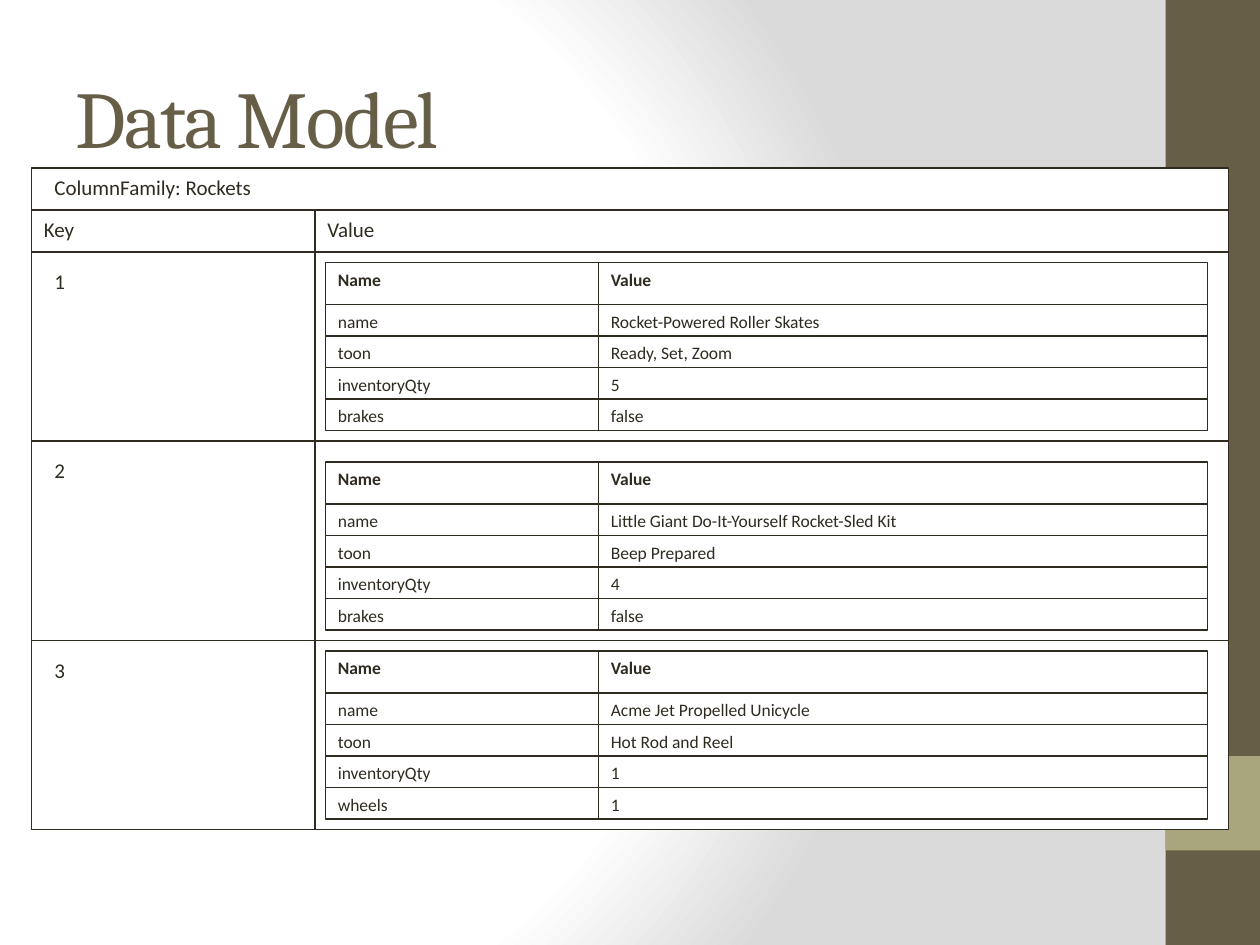
from lxml.etree import SubElement
from pptx import Presentation
from pptx.dml.color import RGBColor
from pptx.enum.shapes import MSO_CONNECTOR, MSO_SHAPE
from pptx.enum.text import MSO_ANCHOR, MSO_AUTO_SIZE, PP_ALIGN
from pptx.oxml import parse_xml
from pptx.oxml.ns import nsdecls, qn
from pptx.util import Pt

HEADING = "Data Model"
FAMILY = "ColumnFamily: Rockets"
COLUMNS = ("Key", "Value")
CARD_HEADER = ("Name", "Value")
ROCKETS = [
    {"key": "1", "top": 240, "card_top": 250, "columns": [
        ("name", "Rocket-Powered Roller Skates"),
        ("toon", "Ready, Set, Zoom"),
        ("inventoryQty", "5"),
        ("brakes", "false")]},
    {"key": "2", "top": 420, "card_top": 440, "columns": [
        ("name", "Little Giant Do-It-Yourself Rocket-Sled Kit"),
        ("toon", "Beep Prepared"),
        ("inventoryQty", "4"),
        ("brakes", "false")]},
    {"key": "3", "top": 610, "card_top": 620, "columns": [
        ("name", "Acme Jet Propelled Unicycle"),
        ("toon", "Hot Rod and Reel"),
        ("inventoryQty", "1"),
        ("wheels", "1")]},
]

INK = RGBColor(0x2F, 0x2B, 0x20)
BROWN = RGBColor(0x67, 0x5E, 0x47)
OLIVE = RGBColor(0xA9, 0xA5, 0x7C)
WHITE = RGBColor(0xFF, 0xFF, 0xFF)

PX = 7620
SLIDE_W, SLIDE_H = 1200, 900
BAND_X, BAND_W = 1110, 90
TABLE_X, TABLE_W = 30, 1140
FAMILY_Y, COLUMNS_Y, ROWS_Y = 160, 200, 240
OUTER_BOTTOM, TABLE_BOTTOM = 780, 790
KEY_W = 270
VALUE_X = TABLE_X + KEY_W
CARD_X, CARD_W, CARD_SPLIT = 310, 840, 570
CARD_HEADER_H, CARD_ROW_H = 40, 30

BACKGROUND = f"""<p:bg {nsdecls('p', 'a')}><p:bgPr><a:gradFill rotWithShape="1"><a:gsLst>
<a:gs pos="0"><a:srgbClr val="FFFFFF"/></a:gs>
<a:gs pos="75000"><a:srgbClr val="FFFFFF"/></a:gs>
<a:gs pos="100000"><a:srgbClr val="DADADA"/></a:gs></a:gsLst>
<a:path path="circle"><a:fillToRect l="20000" t="50000" r="100000" b="50000"/></a:path>
</a:gradFill><a:effectLst/></p:bgPr></p:bg>"""


def px(*lengths):
    return [length * PX for length in lengths]


def add_box(shapes, left, top, width, height, fill=WHITE, outline=INK):
    box = shapes.add_shape(MSO_SHAPE.RECTANGLE, *px(left, top, width, height))
    box.shadow.inherit = False
    box.fill.solid()
    box.fill.fore_color.rgb = fill
    if outline is None:
        box.line.fill.background()
    else:
        box.line.color.rgb = outline
        box.line.width = Pt(0.75)


def add_rule(shapes, x1, y1, x2, y2):
    rule = shapes.add_connector(MSO_CONNECTOR.STRAIGHT, *px(x1, y1, x2, y2))
    rule.line.color.rgb = INK
    rule.line.width = Pt(0.75)
    SubElement(rule._element.spPr, qn("a:effectLst"))


def add_label(shapes, text, left, top, width, size, bold=False):
    height = 36 if size == 12 else 32
    label = shapes.add_textbox(*px(left, top, width, height))
    frame = label.text_frame
    frame.text = text
    frame.word_wrap = True
    frame.auto_size = MSO_AUTO_SIZE.SHAPE_TO_FIT_TEXT
    font = frame.paragraphs[0].runs[0].font
    font.name, font.size, font.bold = "Calibri", Pt(size), bold
    font.color.rgb = INK


def add_card(slide, top, columns):
    shapes = slide.shapes.add_group_shape().shapes
    height = CARD_HEADER_H + CARD_ROW_H * len(columns)
    add_box(shapes, CARD_X, top, CARD_W, height)
    for index, (name, value) in enumerate([CARD_HEADER] + columns):
        is_header = index == 0
        y = top if is_header else top + CARD_HEADER_H + CARD_ROW_H * (index - 1)
        add_label(shapes, name, CARD_X, y, 180, 10, is_header)
        add_label(shapes, value, CARD_SPLIT, y, 570, 10, is_header)
        if not is_header:
            add_rule(shapes, CARD_X, y, CARD_X + CARD_W, y)
    add_rule(shapes, CARD_SPLIT, top, CARD_SPLIT, top + height)


def add_heading(slide):
    heading = slide.shapes.title
    heading.left, heading.top, heading.width, heading.height = px(60, 36, 1000, 150)
    frame = heading.text_frame
    frame.text = HEADING
    frame.vertical_anchor = MSO_ANCHOR.MIDDLE
    frame.paragraphs[0].alignment = PP_ALIGN.LEFT
    run = frame.paragraphs[0].runs[0]
    run.font.name, run.font.size = "Cambria", Pt(46)
    run.font.color.rgb = BROWN
    run._r.get_or_add_rPr().set("spc", "-100")


def main():
    presentation = Presentation()
    presentation.slide_width, presentation.slide_height = px(SLIDE_W, SLIDE_H)
    slide = presentation.slides.add_slide(presentation.slide_layouts[5])
    slide._element.cSld.insert(0, parse_xml(BACKGROUND))
    shapes = slide.shapes

    add_box(shapes, BAND_X, 0, BAND_W, SLIDE_H, BROWN, None)
    add_box(shapes, BAND_X, 720, BAND_W, 90, OLIVE, None)
    add_heading(slide)

    for top in (FAMILY_Y, COLUMNS_Y):
        add_box(shapes, TABLE_X, top, TABLE_W, OUTER_BOTTOM - top)
    for width in (TABLE_W, KEY_W):
        add_box(shapes, TABLE_X, ROWS_Y, width, TABLE_BOTTOM - ROWS_Y)
    add_rule(shapes, VALUE_X, COLUMNS_Y, VALUE_X, COLUMNS_Y + 60)
    add_label(shapes, FAMILY, TABLE_X + 10, FAMILY_Y, 280, 12)
    for column, left in zip(COLUMNS, (TABLE_X, VALUE_X)):
        add_label(shapes, column, left, COLUMNS_Y, 280, 12)

    for rocket in ROCKETS:
        if rocket["top"] > ROWS_Y:
            add_rule(shapes, TABLE_X, rocket["top"], TABLE_X + TABLE_W, rocket["top"])
        add_label(shapes, rocket["key"], TABLE_X + 10, rocket["top"] + 10, 70, 12)
        add_card(slide, rocket["card_top"], rocket["columns"])

    presentation.save("out.pptx")


if __name__ == "__main__":
    main()
